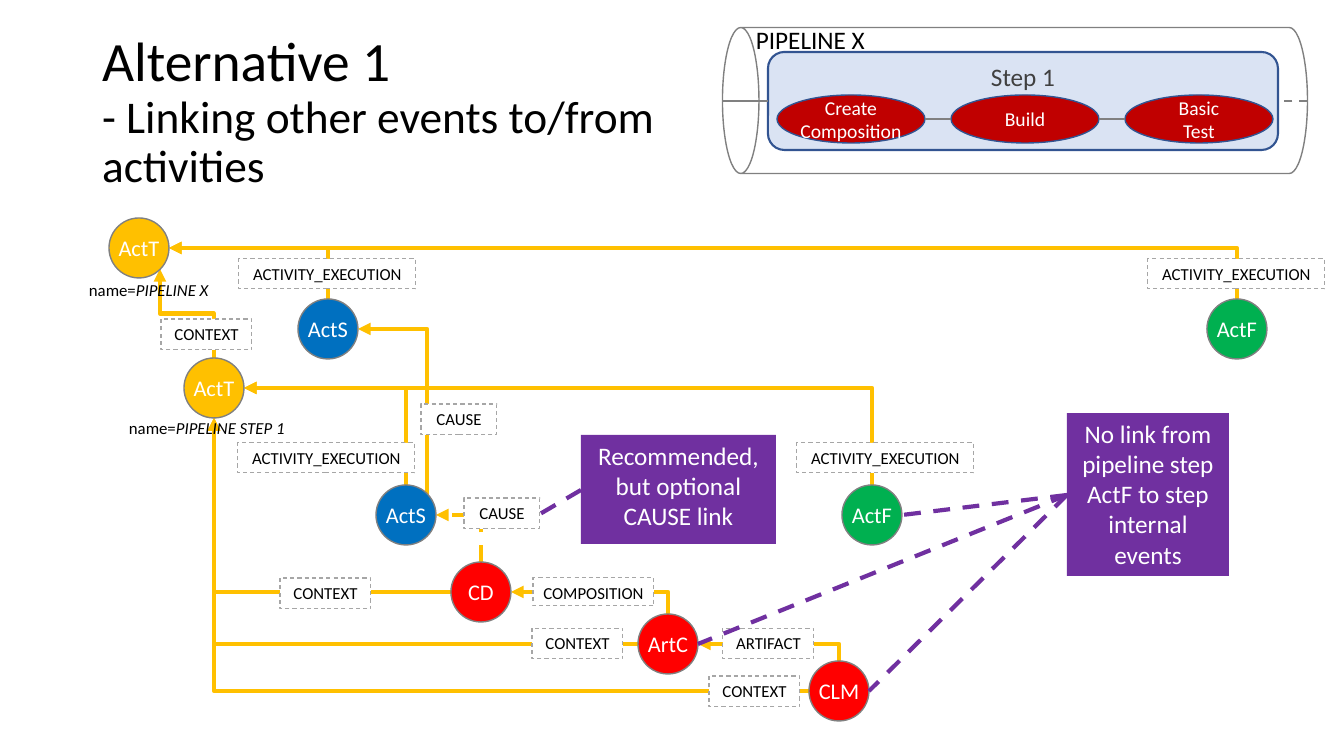
from dataclasses import dataclass
from itertools import pairwise
from typing import NamedTuple

from pptx import Presentation
from pptx.dml.color import RGBColor
from pptx.enum.dml import MSO_LINE
from pptx.enum.shapes import MSO_CONNECTOR, MSO_SHAPE
from pptx.enum.text import MSO_ANCHOR, MSO_AUTO_SIZE, PP_ALIGN
from pptx.oxml.ns import qn
from pptx.util import Emu, Pt
from lxml import etree

DASH = MSO_LINE.DASH
STRAIGHT, ELBOW = MSO_CONNECTOR.STRAIGHT, MSO_CONNECTOR.ELBOW
CIRCLE, RECTANGLE = MSO_SHAPE.FLOWCHART_CONNECTOR, MSO_SHAPE.RECTANGLE
OVAL, ROUNDED, CAN = MSO_SHAPE.OVAL, MSO_SHAPE.ROUNDED_RECTANGLE, MSO_SHAPE.CAN
TOP, MIDDLE = MSO_ANCHOR.TOP, MSO_ANCHOR.MIDDLE
LEFT, CENTER = PP_ALIGN.LEFT, PP_ALIGN.CENTER

BLACK, WHITE = RGBColor(0, 0, 0), RGBColor(255, 255, 255)
DARK_GRAY, GRAY = RGBColor(0x40, 0x40, 0x40), RGBColor(0x80, 0x80, 0x80)
LIGHT_GRAY = RGBColor(0xA6, 0xA6, 0xA6)
YELLOW, BLUE = RGBColor(0xFF, 0xC0, 0x00), RGBColor(0x00, 0x70, 0xC0)
GREEN, RED = RGBColor(0x00, 0xB0, 0x50), RGBColor(0xFF, 0x00, 0x00)
PURPLE, DARK_RED = RGBColor(0x70, 0x30, 0xA0), RGBColor(0xC0, 0x00, 0x00)
NAVY, PALE_BLUE = RGBColor(0x32, 0x54, 0x91), RGBColor(0xDA, 0xE3, 0xF3)

FONT = "Calibri"
EMU_PER_PIXEL = 914400 / 100.8
RADIUS = 30
DIAGONAL = 21


class Point(NamedTuple):
    x: int
    y: int


class Box(NamedTuple):
    left: int
    top: int
    width: int
    height: int


class Run(NamedTuple):
    text: str
    size: float
    color: RGBColor = BLACK
    italic: bool = False


class Outline(NamedTuple):
    color: RGBColor
    width: float
    dash: MSO_LINE | None = None


@dataclass(frozen=True)
class Event:
    """A round event node, placed by its centre."""
    name: str
    x: int
    y: int
    color: RGBColor

    def site(self, across: int, down: int) -> Point:
        """Return the connection site in the given direction."""
        reach = DIAGONAL if across and down else RADIUS
        return Point(self.x + across * reach, self.y + down * reach)


def px(length: float) -> Emu:
    """Turn pixels into EMU."""
    return Emu(round(length * EMU_PER_PIXEL))


def write(frame, runs: list[Run], align=CENTER, anchor=TOP, wrap=True, inset=None) -> None:
    """Fill a text frame run by run; a newline becomes a line break."""
    frame.word_wrap, frame.vertical_anchor = wrap, anchor
    frame.auto_size = MSO_AUTO_SIZE.NONE
    if inset is not None:
        frame.margin_left = frame.margin_top = frame.margin_right = frame.margin_bottom = inset
    paragraph = frame.paragraphs[0]
    paragraph.alignment = align
    for item in runs:
        for index, line in enumerate(item.text.split("\n")):
            if index:
                paragraph.add_line_break()
            if line:
                run = paragraph.add_run()
                run.text = line
                font = run.font
                font.name, font.size, font.color.rgb = FONT, Pt(item.size), item.color
                font.italic = item.italic


def style_line(line, outline: Outline) -> None:
    """Apply colour, width and dash to a line."""
    line.color.rgb, line.width = outline.color, Pt(outline.width)
    if outline.dash:
        line.dash_style = outline.dash


def add_box(kind: MSO_SHAPE, box: Box, fill: RGBColor | None, outline: Outline | None):
    """Draw a preset shape without shadow."""
    shape = slide.shapes.add_shape(kind, *map(px, box))
    shape.shadow.inherit = False
    if fill is None:
        shape.fill.background()
    else:
        shape.fill.solid()
        shape.fill.fore_color.rgb = fill
    if outline:
        style_line(shape.line, outline)
    else:
        shape.line.fill.background()
    return shape


def add_line(start: Point, end: Point, outline: Outline, kind=STRAIGHT):
    """Draw a connector without shadow."""
    connector = slide.shapes.add_connector(kind, *map(px, (*start, *end)))
    style_line(connector.line, outline)
    etree.SubElement(connector._element.spPr, qn("a:effectLst"))
    return connector


def add_elbow(start: Point, end: Point, preset="bentConnector2", upward=True, dash=None) -> None:
    """Draw a bent arrow to the upper left, leaving upward or leftward."""
    width, height = start.x - end.x, start.y - end.y
    if upward:  # the frame is turned by a quarter, so its sides swap
        width, height = height, width
    left = (start.x + end.x - width) / 2
    top = (start.y + end.y - height) / 2
    connector = add_line(Point(left, top), Point(left + width, top + height),
                         Outline(YELLOW, 3, dash), ELBOW)
    properties = connector._element.spPr
    properties.find(qn("a:prstGeom")).set("prst", preset)
    properties.xfrm.set("rot", "16200000" if upward else "10800000")
    if upward:
        properties.xfrm.set("flipV", "1")
    etree.SubElement(properties.find(qn("a:ln")), qn("a:tailEnd"), type="triangle")


def add_caption(box: Box, runs: list[Run]) -> None:
    """Add a left-aligned text box on one line."""
    write(slide.shapes.add_textbox(*map(px, box)).text_frame, runs, LEFT, wrap=False)


presentation = Presentation()
presentation.slide_width, presentation.slide_height = px(1344), px(756)
slide = presentation.slides.add_slide(presentation.slide_layouts[5])

title = slide.shapes.title
title.left, title.top, title.width, title.height = map(px, Box(92, 40, 1159, 146))
write(title.text_frame, [Run("Alternative 1\n", 39.6),
                         Run("- Linking other events to/from\nactivities", 32.4)], LEFT, MIDDLE)
title.text_frame.paragraphs[0].line_spacing = 0.9

pipeline = Event("ActT", 139, 248, YELLOW)
pipeline_start = Event("ActS", 328, 329, BLUE)
pipeline_finish = Event("ActF", 1237, 329, GREEN)
step = Event("ActT", 214, 388, YELLOW)
step_start = Event("ActS", 406, 515, BLUE)
step_finish = Event("ActF", 872, 515, GREEN)
composition = Event("CD", 481, 592, RED)
artifact = Event("ArtC", 668, 644, RED)
confidence = Event("CLM", 839, 691, RED)

for source, target in [(pipeline_finish, pipeline), (pipeline_start, pipeline),
                       (step_finish, step), (step_start, step),
                       (artifact, composition), (confidence, artifact)]:
    add_elbow(source.site(0, -1), target.site(1, 0))
for source in (composition, artifact, confidence):
    add_elbow(source.site(-1, 0), step.site(0, 1), upward=False)
add_elbow(step.site(0, -1), pipeline.site(1, 1), "bentConnector3")
add_elbow(step_start.site(1, -1), pipeline_start.site(1, 0))
add_elbow(composition.site(0, -1), step_start.site(1, 0), dash=DASH)

for event in (pipeline, pipeline_start, pipeline_finish, step, step_start, step_finish,
              composition, artifact, confidence):
    circle = add_box(CIRCLE, Box(event.x - RADIUS, event.y - RADIUS, 2 * RADIUS, 2 * RADIUS),
                     event.color, Outline(GRAY, 1))
    write(circle.text_frame, [Run(event.name, 16, WHITE)], anchor=MIDDLE, wrap=False, inset=0)

LINK_LABELS = {
    ("ACTIVITY_EXECUTION", 177, 30): [(239, 259), (1148, 259), (238, 443), (797, 443)],
    ("CONTEXT", 91, 31): [(161, 319), (280, 578), (532, 628), (709, 676)],
    ("CAUSE", 76, 31): [(421, 404), (464, 498)],
    ("COMPOSITION", 121, 28): [(533, 578)],
    ("ARTIFACT", 91, 31): [(723, 628)],
}
for (text, width, height), places in LINK_LABELS.items():
    for place in places:
        label = add_box(RECTANGLE, Box(*place, width, height), WHITE,
                        Outline(LIGHT_GRAY, 0.75, DASH))
        write(label.text_frame, [Run(text, 12)], wrap=False)

for box, text in [
        (Box(1067, 413, 162, 163), "No link from pipeline step ActF to step internal events"),
        (Box(581, 435, 195, 109), "Recommended, but optional CAUSE link")]:
    note = add_box(RECTANGLE, box, PURPLE, None)
    write(note.text_frame, [Run(text, 18, WHITE)])
for event in (confidence, step_finish, artifact):
    add_line(Point(1067, 495), event.site(1, 0), Outline(PURPLE, 3, DASH))
add_line(Point(581, 490), Point(540, 514), Outline(PURPLE, 3, DASH))

for box, name in [(Box(79, 275, 141, 30), "PIPELINE X"), (Box(119, 413, 178, 30), "PIPELINE STEP 1")]:
    add_caption(box, [Run("name=", 12), Run(name, 12, italic=True)])

pipe = add_box(CAN, Box(942, -192, 146, 585), None, Outline(GRAY, 1))
pipe.rotation = 270
add_caption(Box(746, 19, 130, 40), [Run("PIPELINE X", 18)])
step_box = add_box(ROUNDED, Box(768, 52, 510, 98), PALE_BLUE, Outline(NAVY, 1.5))
write(step_box.text_frame, [Run("Step 1", 18, DARK_GRAY)])
add_line(Point(768, 101), Point(723, 101), Outline(GRAY, 1.5))
add_line(Point(1307, 101), Point(1278, 101), Outline(GRAY, 1.5, DASH))

activities = [Box(777 + 174 * index, 95, 148, 48) for index in range(3)]
for box, name in zip(activities, ("Create\nComposition", "Build", "Basic\nTest")):
    oval = add_box(OVAL, box, DARK_RED, Outline(NAVY, 1))
    write(oval.text_frame, [Run(name, 14, WHITE)], anchor=MIDDLE, wrap=False, inset=0)
for before, after in pairwise(activities):
    add_line(Point(after.left, 119), Point(before.left + before.width, 119), Outline(GRAY, 1.5))

presentation.save("out.pptx")
